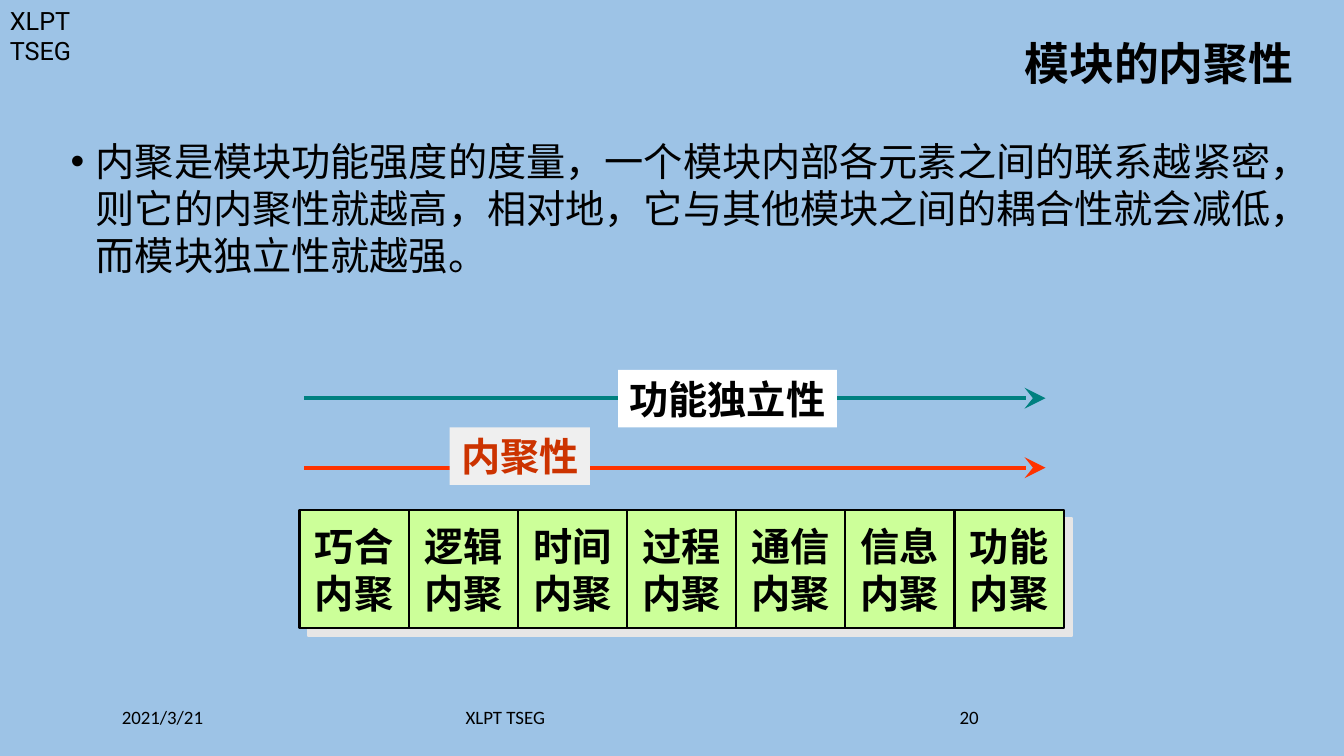
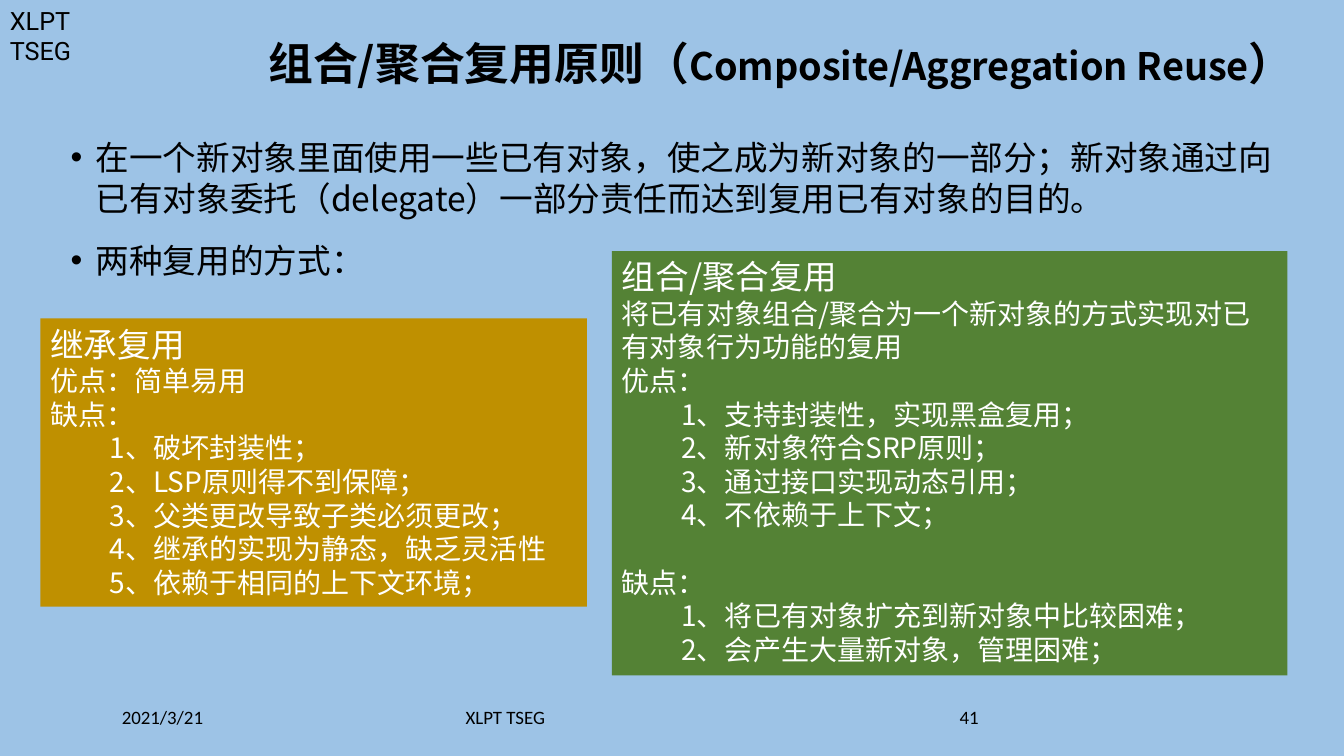
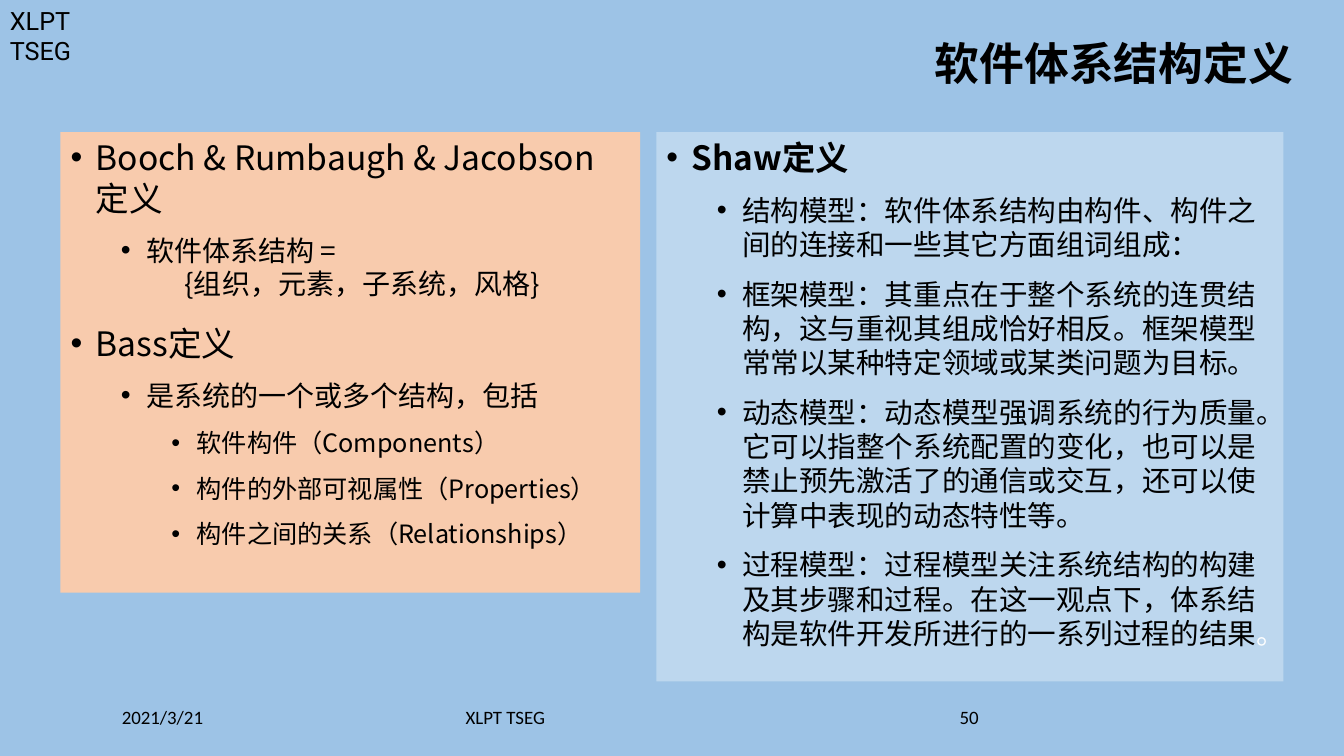
from dataclasses import dataclass, field

from lxml import etree
from pptx import Presentation
from pptx.dml.color import RGBColor
from pptx.enum.shapes import MSO_CONNECTOR, MSO_SHAPE
from pptx.enum.text import MSO_ANCHOR, MSO_AUTO_SIZE, PP_ALIGN
from pptx.oxml.ns import qn
from pptx.util import Inches, Pt

RECT = MSO_SHAPE.RECTANGLE
STRAIGHT = MSO_CONNECTOR.STRAIGHT
TOP, MIDDLE = MSO_ANCHOR.TOP, MSO_ANCHOR.MIDDLE
LEFT, CENTER, RIGHT = PP_ALIGN.LEFT, PP_ALIGN.CENTER, PP_ALIGN.RIGHT
NO_FIT = MSO_AUTO_SIZE.NONE
ONE_BODY, TWO_BODIES = 1, 3


@dataclass(frozen=True)
class Theme:
    # Fonts
    cjk: str = "Noto Sans CJK SC"
    serif: str = "Times New Roman"
    corner_font: str = "Roboto"
    footer_font: str = "Calibri"
    # Colours
    background: str = "9DC3E6"
    ink: str = "000000"
    white: str = "FFFFFF"
    teal: str = "008080"
    red: str = "FF3300"
    dark_red: str = "CC3300"
    grey: str = "EFEFEF"
    shadow: str = "E7E6E6"
    lime: str = "CCFF99"
    gold: str = "BF9000"
    green: str = "548235"
    peach: str = "F8CBAD"
    pale_blue: str = "BDD7EE"
    # Type sizes
    title: float = 32
    title_small: float = 27
    diagram: float = 28
    lead: float = 28
    level: tuple = (24, 20, 18)
    shaw_level: tuple = (23.8, 20.4)
    corner: float = 18
    footer: float = 13.5


THEME = Theme()
CORNER_TEXT = "XLPT TSEG"
DATE_TEXT = "2021/3/21"
CORNER_BOX = (0, 0, 1.11, 0.71)
TITLE_BOX = (1.63, 0.3, 11.3, 0.71)
BODY_BOX = (0.6, 1.31, 12.13, 5.45)


@dataclass
class Run:
    text: str
    size: float
    font: str = THEME.cjk
    color: str = THEME.ink
    bold: bool = False


@dataclass
class Para:
    runs: list
    layout: dict = field(default_factory=dict)
    margin: float = 0
    hanging: float = 0
    bullet: bool = False


# ---- Text and shape helpers ----
def lengths(box):
    return [Inches(value) for value in box]


def apply(target, values):
    for name, value in values.items():
        setattr(target, name, value)


def write_run(paragraph, part):
    run = paragraph.add_run()
    run.text = part.text
    apply(run.font, {"size": Pt(part.size), "bold": part.bold, "name": part.font})
    run.font.color.rgb = RGBColor.from_string(part.color)
    etree.SubElement(run.font._element, qn("a:ea"), typeface=THEME.cjk)


def write(frame, paras, anchor=TOP, wrap=True):
    apply(frame, {"word_wrap": wrap, "auto_size": NO_FIT, "vertical_anchor": anchor})
    for index, para in enumerate(paras):
        paragraph = frame.add_paragraph() if index else frame.paragraphs[0]
        apply(paragraph, {"alignment": LEFT, "line_spacing": 1.0,
                          "space_before": Pt(0), "space_after": Pt(0), **para.layout})
        properties = paragraph._p.get_or_add_pPr()
        properties.set("marL", str(Inches(para.margin)))
        properties.set("indent", str(Inches(-para.hanging)))
        if para.bullet:
            etree.SubElement(properties, qn("a:buFont"), typeface="Arial")
            etree.SubElement(properties, qn("a:buChar"), char="•")
        else:
            etree.SubElement(properties, qn("a:buNone"))
        for part in para.runs:
            write_run(paragraph, part)


def bullet(text, level=0, sizes=THEME.level, bold=False, tail=()):
    return Para([Run(text, sizes[level], bold=bold), *tail],
                {"level": level, "space_before": Pt(5 if level else 10),
                 "space_after": Pt(6)},
                margin=0.25 + 0.5 * level, hanging=0.25, bullet=True)


def place(placeholder, box, paras, fill=None, anchor=TOP):
    left, top, width, height = lengths(box)
    apply(placeholder, {"left": left, "top": top, "width": width, "height": height})
    if fill:
        placeholder.fill.solid()
        placeholder.fill.fore_color.rgb = RGBColor.from_string(fill)
    write(placeholder.text_frame, paras, anchor)


def text_box(slide, box, paras, anchor=TOP):
    write(slide.shapes.add_textbox(*lengths(box)).text_frame, paras, anchor)


def rectangle(slide, box, fill, paras=(), wrap=True):
    shape = slide.shapes.add_shape(RECT, *lengths(box))
    shape.shadow.inherit = False
    shape.fill.solid()
    shape.fill.fore_color.rgb = RGBColor.from_string(fill)
    shape.line.fill.background()
    write(shape.text_frame, paras, wrap=wrap)
    return shape


def outline(shape, color, width):
    shape.line.color.rgb = RGBColor.from_string(color)
    shape.line.width = Pt(width)


def line(slide, start, end, color, width, arrow=False):
    connector = slide.shapes.add_connector(STRAIGHT, *lengths(start + end))
    outline(connector, color, width)
    if arrow:
        etree.SubElement(connector.line._get_or_add_ln(), qn("a:tailEnd"),
                         type="stealth", w="lg", len="lg")
    etree.SubElement(connector._element.spPr, qn("a:effectLst"))


def hard_shadow(shape, color, distance):
    effects = shape._element.spPr.find(qn("a:effectLst"))
    shadow = etree.SubElement(effects, qn("a:outerShdw"), dist=str(Pt(distance)),
                              dir="2700000", algn="ctr", rotWithShape="0")
    etree.SubElement(shadow, qn("a:srgbClr"), val=color)


# ---- Parts shared by every slide ----
def new_slide(deck, layout, title_runs, number):
    slide = deck.slides.add_slide(deck.slide_layouts[layout])
    text_box(slide, CORNER_BOX,
             [Para([Run(CORNER_TEXT, THEME.corner, THEME.corner_font)])])
    place(slide.shapes.title, TITLE_BOX,
          [Para(title_runs, {"alignment": RIGHT, "line_spacing": 0.9})], anchor=MIDDLE)
    for left, width, text in ((1.11, 3, DATE_TEXT), (4.52, 4.5, CORNER_TEXT),
                              (9.42, 3, str(number))):
        text_box(slide, (left, 6.95, width, 0.4),
                 [Para([Run(text, THEME.footer, THEME.footer_font)])])
    return slide


def title_run(text, size=THEME.title):
    return Run(text, size, bold=True)


# ---- Cohesion scale ----
def diagram_para(text, color=THEME.ink):
    return Para([Run(text, THEME.diagram, THEME.serif, color, bold=True)],
                {"alignment": CENTER})


def cohesion_band(slide, box):
    left, top, width, height = box
    kinds = ("巧合", "逻辑", "时间", "过程", "通信", "信息", "功能")
    cell_width = width / len(kinds)
    band = rectangle(slide, box, THEME.lime)
    outline(band, THEME.ink, 1.5)
    hard_shadow(band, THEME.shadow, 8.5)
    for index, kind in enumerate(kinds):
        x = left + cell_width * index
        if index:
            line(slide, (x, top), (x, top + height), THEME.ink, 1.5)
        text_box(slide, (x, top, cell_width, height),
                 [diagram_para(kind), diagram_para("内聚")], MIDDLE)


def cohesion_scale(slide, box):
    left, top, width, height = box
    band_offset = 1.39
    cohesion_band(slide, (left, top + band_offset, width, height - band_offset))
    # Arrows with their labels
    arrows = (
        (0.28, THEME.teal, "功能独立性", THEME.ink, THEME.white, (3.16, 0, 2.17, 0.57)),
        (0.97, THEME.red, "内聚性", THEME.dark_red, THEME.grey, (1.49, 0.57, 1.39, 0.57)),
    )
    for y, color, label, ink, fill, (dx, dy, label_width, label_height) in arrows:
        line(slide, (left + 0.05, top + y), (left + 7.4, top + y), color, 3, arrow=True)
        rectangle(slide, (left + dx, top + dy, label_width, label_height), fill,
                  [diagram_para(label, ink)], wrap=False)


def cohesion_slide(deck):
    slide = new_slide(deck, ONE_BODY, [title_run("模块的内聚性")], 20)
    place(slide.placeholders[1], BODY_BOX, [bullet(
        "内聚是模块功能强度的度量，一个模块内部各元素之间的联系越紧密，则它的内聚性就越高，"
        "相对地，它与其他模块之间的耦合性就会减低，而模块独立性就越强。",
        sizes=(THEME.lead,))])
    cohesion_scale(slide, (2.97, 3.67, 7.58, 2.56))


# ---- Reuse principle ----
def reuse_panel(slide, box, fill, heading, sections):
    head_size, text_size = THEME.level[:2]
    paras = [Para([Run(heading, head_size, color=THEME.white)])]
    for gap, text, points in sections:
        paras.append(Para([Run(text, text_size, color=THEME.white)],
                          {"space_before": Pt(gap)}))
        paras += [Para([Run(f"{number}、{point}", text_size, color=THEME.white)],
                       margin=0.59) for number, point in enumerate(points, 1)]
    rectangle(slide, box, fill, paras)


def reuse_slide(deck):
    slide = new_slide(deck, ONE_BODY, [
        title_run("组合/聚合复用原则（"),
        title_run("Composite/Aggregation Reuse", THEME.title_small),
        title_run("）")], 41)
    place(slide.placeholders[1], BODY_BOX, [
        bullet("在一个新对象里面使用一些已有对象，使之成为新对象的一部分；新对象通过向"
               "已有对象委托（delegate）一部分责任而达到复用已有对象的目的。"),
        bullet("两种复用的方式：")])
    reuse_panel(slide, (0.4, 3.16, 5.42, 2.86), THEME.gold, "继承复用", (
        (0, "优点：简单易用", ()),
        (0, "缺点：", ("破坏封装性；", "LSP原则得不到保障；", "父类更改导致子类必须更改；",
                     "继承的实现为静态，缺乏灵活性", "依赖于相同的上下文环境；"))))
    reuse_panel(slide, (6.07, 2.49, 6.7, 4.21), THEME.green, "组合/聚合复用", (
        (0, "将已有对象组合/聚合为一个新对象的方式实现对已有对象行为功能的复用", ()),
        (0, "优点：", ("支持封装性，实现黑盒复用；", "新对象符合SRP原则；",
                     "通过接口实现动态引用；", "不依赖于上下文；")),
        (24, "缺点：", ("将已有对象扩充到新对象中比较困难；",
                      "会产生大量新对象，管理困难；"))))


# ---- Architecture definitions ----
def definitions_slide(deck):
    slide = new_slide(deck, TWO_BODIES, [title_run("软件体系结构定义")], 50)
    formula = bullet("软件体系结构 =", 1)
    formula.layout["space_after"] = Pt(0)
    formula_end = Para([Run("{组织，元素，子系统，风格}", THEME.level[1])],
                       {"level": 1, "space_after": Pt(6)}, margin=1.13)
    parts = ("软件构件（Components）", "构件的外部可视属性（Properties）",
             "构件之间的关系（Relationships）")
    place(slide.placeholders[1], (0.6, 1.31, 5.75, 4.57), [
        bullet("Booch & Rumbaugh & Jacobson 定义"), formula, formula_end,
        bullet("Bass定义"), bullet("是系统的一个或多个结构，包括", 1),
        *(bullet(part, 2) for part in parts)], THEME.peach)

    sizes = THEME.shaw_level
    models = (
        "结构模型：软件体系结构由构件、构件之间的连接和一些其它方面组词组成：",
        "框架模型：其重点在于整个系统的连贯结构，这与重视其组成恰好相反。"
        "框架模型常常以某种特定领域或某类问题为目标。",
        "动态模型：动态模型强调系统的行为质量。它可以指整个系统配置的变化，"
        "也可以是禁止预先激活了的通信或交互，还可以使计算中表现的动态特性等。",
    )
    process = ("过程模型：过程模型关注系统结构的构建及其步骤和过程。"
               "在这一观点下，体系结构是软件开发所进行的一系列过程的结果")
    place(slide.placeholders[2], (6.51, 1.31, 6.22, 5.45), [
        bullet("Shaw定义", sizes=sizes, bold=True),
        *(bullet(model, 1, sizes) for model in models),
        bullet(process, 1, sizes, tail=[Run("。", sizes[1], color=THEME.white)])],
        THEME.pale_blue)


def main():
    deck = Presentation()
    deck.slide_width, deck.slide_height = Inches(13.33), Inches(7.5)
    background = deck.slide_master.background.fill
    background.solid()
    background.fore_color.rgb = RGBColor.from_string(THEME.background)
    for build in (cohesion_slide, reuse_slide, definitions_slide):
        build(deck)
    deck.save("out.pptx")


if __name__ == "__main__":
    main()
